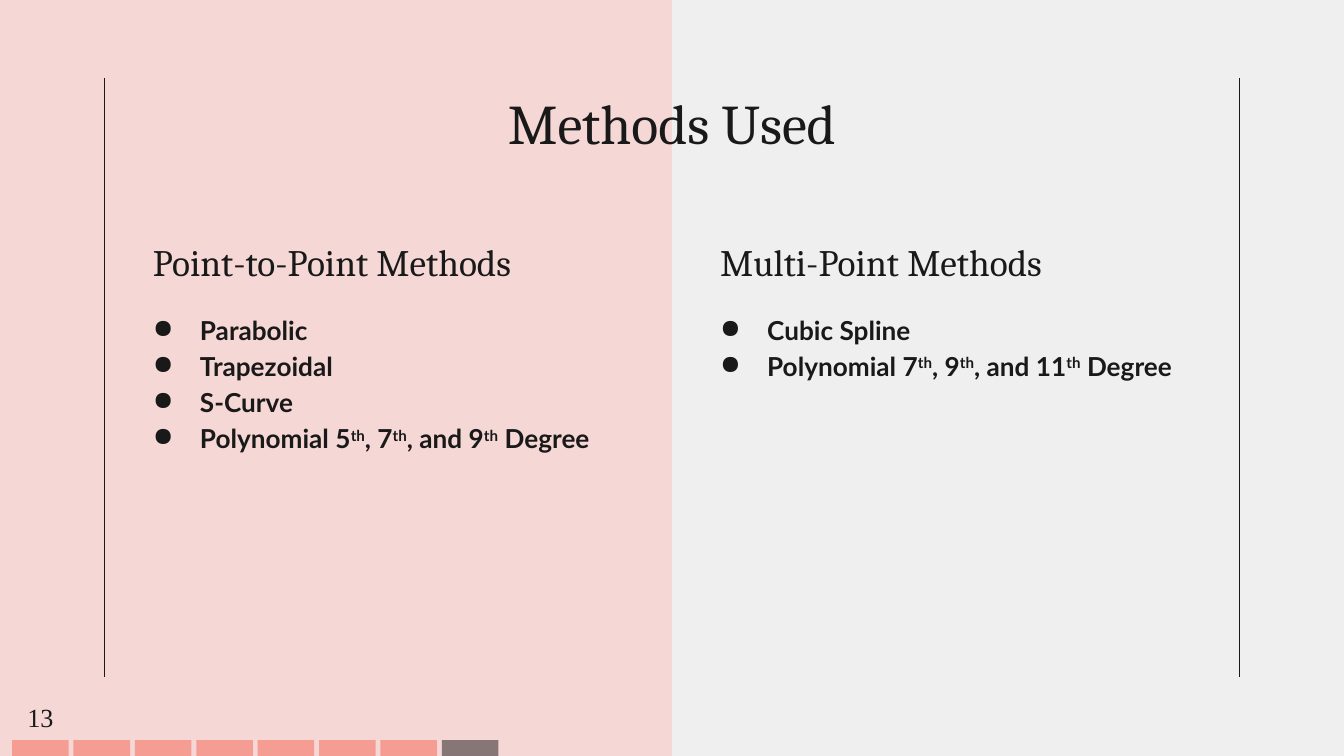
from lxml.etree import SubElement
from pptx import Presentation
from pptx.dml.color import RGBColor
from pptx.enum.shapes import MSO_CONNECTOR, MSO_SHAPE
from pptx.enum.text import MSO_ANCHOR, PP_ALIGN
from pptx.oxml.ns import qn
from pptx.util import Cm, Pt

COLORS = {"ink": "191919", "pink": "F5D7D5", "gray": "EFEFEF", "coral": "F56450"}
COLUMNS = [
    (2.26, "Point-to-Point Methods",
     ["Parabolic", "Trapezoidal", "S-Curve", "Polynomial 5^th^, 7^th^, and 9^th^ Degree"]),
    (12.98, "Multi-Point Methods",
     ["Cubic Spline", "Polynomial 7^th^, 9^th^, and 11^th^ Degree"]),
]
STEPS = 8


class Deck:
    """Slide style and the current slide, with one method per kind of element."""

    def __init__(self, prs):
        self.s = prs.slides.add_slide(prs.slide_layouts[6])
        self.paint(self.s.background.fill, "gray")

    def paint(self, fill, color):
        fill.solid()
        fill.fore_color.rgb = RGBColor.from_string(COLORS[color])

    def rect(self, x, y, w, h, color, alpha=None):
        sp = self.s.shapes.add_shape(MSO_SHAPE.RECTANGLE, Cm(x), Cm(y), Cm(w), Cm(h))
        sp.shadow.inherit = False
        sp.line.fill.background()
        self.paint(sp.fill, color)
        if alpha:
            clr = sp.fill._xPr.find(".//" + qn("a:srgbClr"))
            SubElement(clr, qn("a:alpha"), val=str(alpha * 1000))

    def rule(self, x, top, bottom):
        ln = self.s.shapes.add_connector(
            MSO_CONNECTOR.STRAIGHT, Cm(x), Cm(top), Cm(x), Cm(bottom))
        ln.line.width = Pt(0.75)
        ln.line.color.rgb = RGBColor.from_string(COLORS["ink"])
        SubElement(ln._element.spPr, qn("a:effectLst"))

    def text(self, x, y, w, h, lines, size, font, align=PP_ALIGN.LEFT,
             anchor=MSO_ANCHOR.TOP, inset=0.25, spacing=1.15,
             hanging=False, bullet=None, bold=False):
        tf = self.s.shapes.add_textbox(Cm(x), Cm(y), Cm(w), Cm(h)).text_frame
        tf.word_wrap = True
        tf.vertical_anchor = anchor
        tf.margin_left = tf.margin_right = tf.margin_top = tf.margin_bottom = Cm(inset)
        for i, line in enumerate(lines):
            p = tf.add_paragraph() if i else tf.paragraphs[0]
            p.alignment = align
            p.line_spacing = spacing
            pPr = p._p.get_or_add_pPr()
            if hanging:
                pPr.set("marL", str(Cm(1.27)))
                pPr.set("indent", str(Cm(-0.89)))
            if bullet:
                SubElement(pPr, qn("a:buChar"), char=bullet)
            for n, part in enumerate(line.split("^")):
                r = p.add_run()
                r.text = part
                r.font.name = font
                r.font.size = Pt(size)
                r.font.bold = bold
                r.font.color.rgb = RGBColor.from_string(COLORS["ink"])
                if n % 2:
                    r._r.get_or_add_rPr().set("baseline", "30000")


def main():
    prs = Presentation()
    prs.slide_width, prs.slide_height = Cm(25.4), Cm(14.29)
    deck = Deck(prs)
    deck.rect(0, 0, 12.7, 14.29, "pink")
    for x in (1.98, 23.42):
        deck.rule(x, 1.47, 12.8)
    deck.text(1.98, 1.24, 21.44, 1.6, ["Methods Used"], 30, "Cambria",
              align=PP_ALIGN.CENTER)
    for x, heading, methods in COLUMNS:
        deck.text(x, 4.34, 10.16, 1.27, [heading], 20, "Cambria",
                  anchor=MSO_ANCHOR.BOTTOM, hanging=True)
        deck.text(x, 5.61, 10.16, 7.19, methods, 14, "Lato",
                  hanging=True, bullet="●", bold=True)
    for i in range(STEPS):
        color = "ink" if i == STEPS - 1 else "coral"
        deck.rect(0.23 + 1.16 * i, 13.99, 1.07, 0.3, color, alpha=50)
    deck.text(0.23, 13.26, 1.07, 0.6, ["13"], 14, "Times New Roman",
              align=PP_ALIGN.CENTER, anchor=MSO_ANCHOR.MIDDLE, inset=0, spacing=1.0)
    prs.save("out.pptx")


if __name__ == "__main__":
    main()
